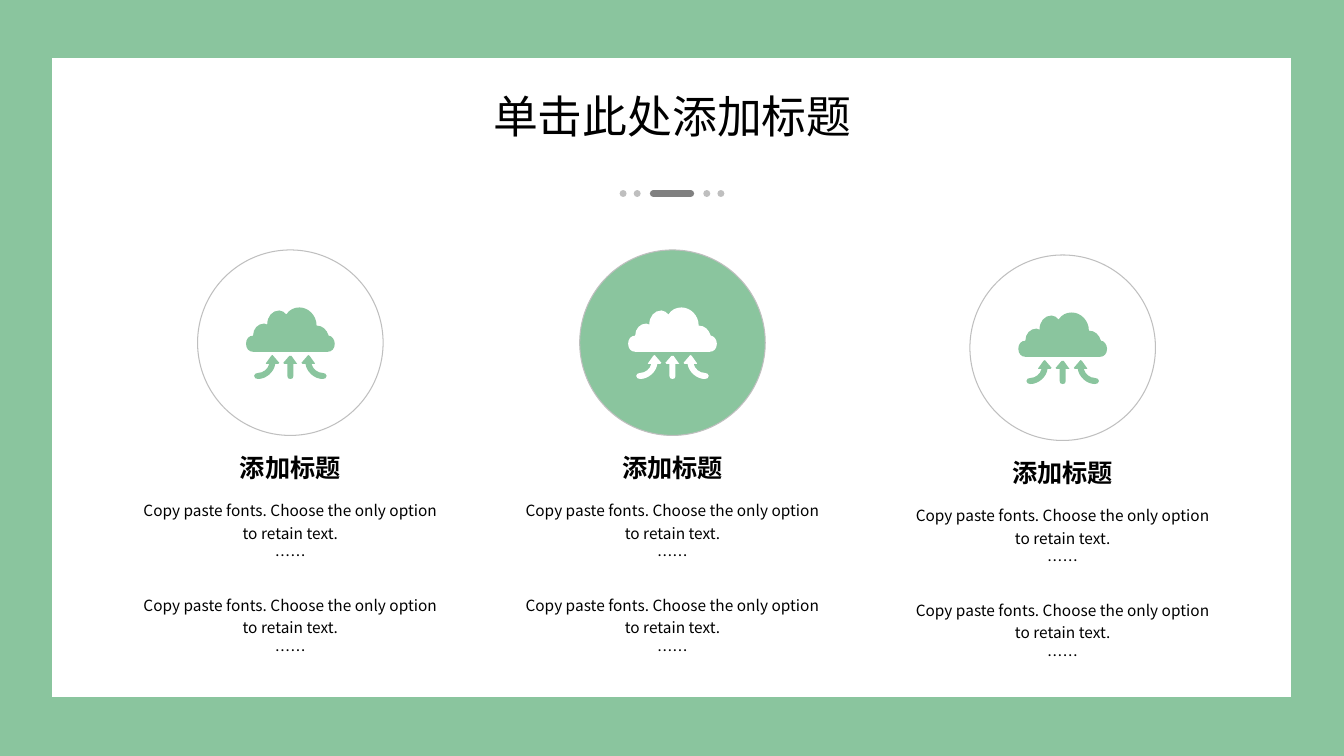
"""Build a slide with three cloud columns under a centred title."""
from lxml.etree import SubElement
from pptx import Presentation
from pptx.dml.color import RGBColor
from pptx.enum.shapes import MSO_CONNECTOR, MSO_SHAPE
from pptx.enum.text import MSO_ANCHOR, PP_ALIGN
from pptx.oxml.ns import qn
from pptx.util import Inches, Pt

FONT = "Noto Sans CJK SC"
COLORS = {"green": "8AC59E", "white": "FFFFFF", "black": "000000",
          "light": "BFBFBF", "dark": "808080"}
COLORS = {name: RGBColor.from_string(value) for name, value in COLORS.items()}

# Icon outlines in hundredths of an inch: pairs are corners, sixes are curves.
CLOUD = [(53, 0), (62, 0, 70, 8, 70, 18), (76, 18, 80, 22, 82, 28),
         (85, 28, 88, 32, 88, 36), (88, 41, 85, 44, 81, 44), (7, 44),
         (3, 44, 0, 41, 0, 36), (0, 31, 3, 28, 7, 28), (7, 21, 12, 16, 18, 16),
         (19, 16, 20, 16, 21, 17), (21, 9, 26, 3, 33, 3), (36, 3, 38, 5, 40, 7),
         (43, 2, 48, 0, 53, 0)]
MIDDLE_ARROW = [(43, 48), (44, 47, 44, 47, 45, 48), (50, 55), (51, 55, 51, 56, 50, 56),
                (47, 56), (47, 68), (47, 70, 46, 71, 44, 71), (42, 71, 41, 70, 41, 68),
                (41, 56), (38, 56), (37, 56, 37, 55, 37, 55)]
RIGHT_ARROW = [(61, 48), (61, 47, 62, 47, 63, 48), (68, 55), (69, 55, 68, 56, 68, 56),
               (65, 56), (66, 61, 71, 65, 76, 65), (78, 65, 80, 66, 80, 68),
               (80, 70, 78, 71, 76, 71), (68, 71, 60, 64, 59, 56), (56, 56),
               (55, 56, 55, 55, 55, 55)]
LEFT_ARROW = [tuple(88 - value if index % 2 == 0 else value
                    for index, value in enumerate(segment)) for segment in RIGHT_ARROW]
OUTLINES = [RIGHT_ARROW, MIDDLE_ARROW, LEFT_ARROW, CLOUD]


def add_icon(shapes, left, top):
    """Add the cloud with its arrows as one curved freeform."""
    builder = shapes.build_freeform(*OUTLINES[0][0], scale=Inches(0.01))
    for outline in OUTLINES:
        if outline is not OUTLINES[0]:
            builder.move_to(*outline[0])
        builder.add_line_segments([segment[-2:] for segment in outline[1:]])
    icon = builder.convert_to_shape(left, top)
    lines = list(icon._element.iter(qn("a:lnTo")))
    segments = [segment for outline in OUTLINES for segment in outline[1:]]
    for line, segment in zip(lines, segments):
        if len(segment) == 6:
            curve = line.makeelement(qn("a:cubicBezTo"))
            for x, y in zip(segment[::2], segment[1::2]):
                SubElement(curve, qn("a:pt"), x=str(x), y=str(y))
            line.getparent().replace(line, curve)
    return icon


def write_text(shape, lines, size, anchor, bold=False, spacing=1.0):
    """Fill a shape with centred paragraphs."""
    frame = shape.text_frame
    frame.word_wrap = True
    frame.vertical_anchor = anchor
    frame.text = "\n".join(lines)
    for paragraph in frame.paragraphs:
        paragraph.alignment = PP_ALIGN.CENTER
        paragraph.line_spacing = spacing
        paragraph.font.size = Pt(size)
        paragraph.font.bold = bold
        paragraph.font.color.rgb = COLORS["black"]
        paragraph.font.name = FONT
        defaults = paragraph._p.pPr.find(qn("a:defRPr"))
        SubElement(defaults, qn("a:ea")).set("typeface", FONT)


presentation = Presentation()
presentation.slide_width = Inches(13.33)
presentation.slide_height = Inches(7.5)
slide = presentation.slides.add_slide(presentation.slide_layouts[5])
slide.background.fill.solid()
slide.background.fill.fore_color.rgb = COLORS["green"]

panel = slide.shapes.add_shape(MSO_SHAPE.RECTANGLE, Inches(0.58), Inches(0.63),
                               Inches(12.17), Inches(6.23))
panel.shadow.inherit = False
panel.fill.solid()
panel.fill.fore_color.rgb = COLORS["white"]
panel.line.color.rgb = COLORS["white"]
panel.line.width = Pt(8.5)
SubElement(panel.line._get_or_add_ln(), qn("a:miter"), lim="800000")
slide.shapes._spTree.remove(panel._element)
slide.shapes._spTree.insert(2, panel._element)

title = slide.shapes.title
title.left, title.top = Inches(0.74), Inches(0.76)
title.width, title.height = Inches(11.86), Inches(0.78)
write_text(title, ["单击此处添加标题"], 32, MSO_ANCHOR.MIDDLE)

body_lines = ["Copy paste fonts. Choose the only option to retain text.", "……"]
columns = [(1.29, 2.48, "white", "green"), (5.08, 2.48, "green", "white"),
           (8.95, 2.53, "white", "green")]
for left, top, circle_color, icon_color in columns:
    badge = slide.shapes.add_group_shape()
    circle = badge.shapes.add_shape(MSO_SHAPE.OVAL, Inches(left + 0.67), Inches(top),
                                    Inches(1.84), Inches(1.84))
    circle.shadow.inherit = False
    circle.fill.solid()
    circle.fill.fore_color.rgb = COLORS[circle_color]
    circle.line.color.rgb = COLORS["light"]
    circle.line.width = Pt(0.75)

    icon = add_icon(badge.shapes, Inches(left + 1.15), Inches(top + 0.57))
    icon.shadow.inherit = False
    icon.fill.solid()
    icon.fill.fore_color.rgb = COLORS[icon_color]
    icon.line.fill.background()

    heading = slide.shapes.add_textbox(Inches(left), Inches(top + 1.92),
                                       Inches(3.18), Inches(0.48))
    write_text(heading, ["添加标题"], 18, MSO_ANCHOR.MIDDLE, bold=True)
    for offset in (2.41, 3.35):
        body = slide.shapes.add_textbox(Inches(left), Inches(top + offset),
                                        Inches(3.18), Inches(0.87))
        write_text(body, body_lines, 11, MSO_ANCHOR.TOP, spacing=1.2)

divider = slide.shapes.add_group_shape()
marks = [(6.48, 6.85, "dark")] + [(x, x, "light") for x in (7.01, 7.15, 6.18, 6.32)]
for start, end, color in marks:
    mark = divider.shapes.add_connector(MSO_CONNECTOR.STRAIGHT, Inches(start), Inches(1.92),
                                        Inches(end), Inches(1.92))
    mark.line.color.rgb = COLORS[color]
    mark.line.width = Pt(5)
    mark.line._get_or_add_ln().set("cap", "rnd")
    SubElement(mark._element.spPr, qn("a:effectLst"))

presentation.save("out.pptx")
